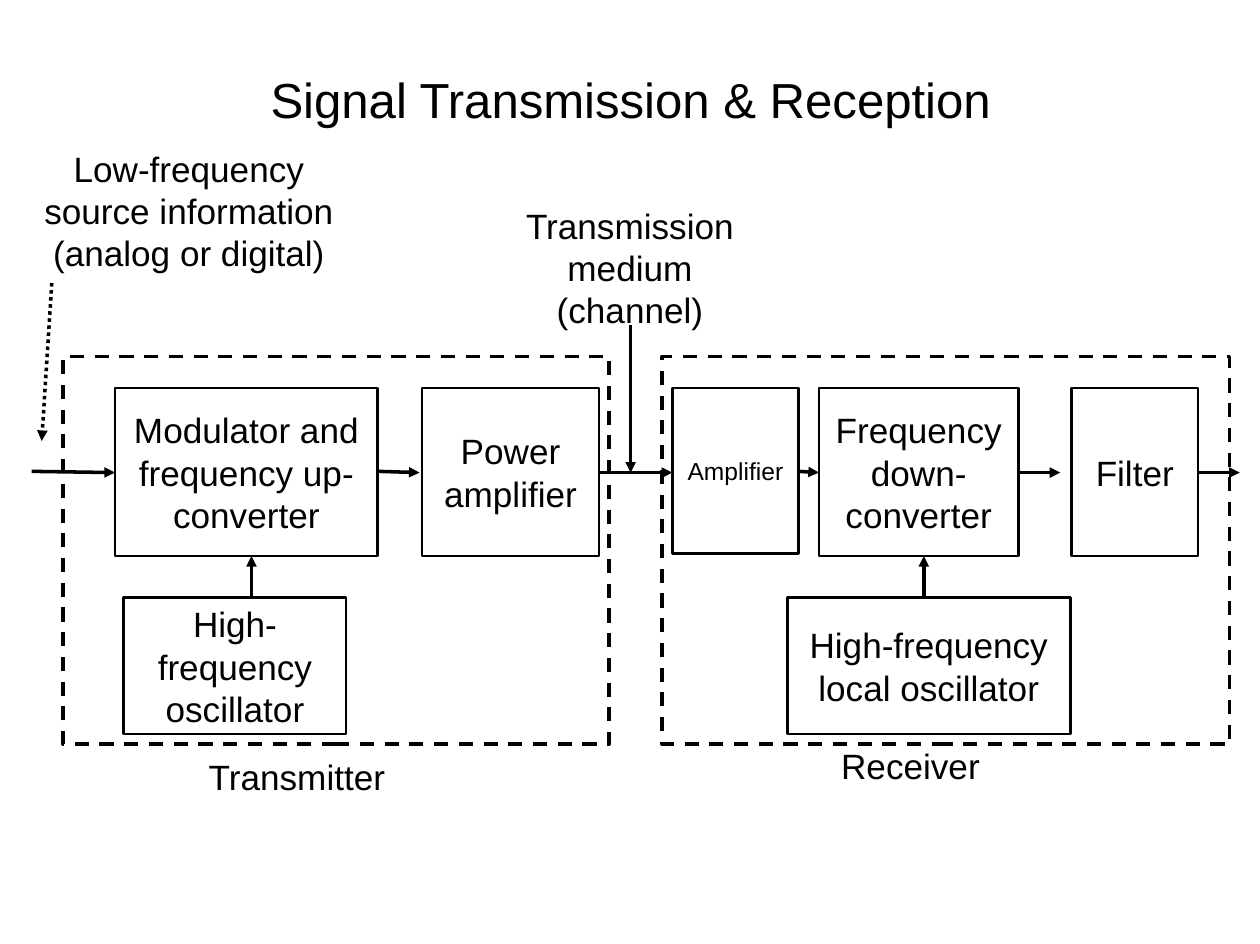
from lxml import etree
from pptx import Presentation
from pptx.dml.color import RGBColor
from pptx.enum.dml import MSO_LINE
from pptx.enum.shapes import MSO_CONNECTOR, MSO_SHAPE
from pptx.enum.text import MSO_ANCHOR, PP_ALIGN
from pptx.oxml.ns import qn
from pptx.util import Pt

PX = 9144
BLACK = RGBColor(0, 0, 0)
RECT = MSO_SHAPE.RECTANGLE
STRAIGHT = MSO_CONNECTOR.STRAIGHT
DASH, DOT = MSO_LINE.DASH, MSO_LINE.ROUND_DOT
MIDDLE, TOP = MSO_ANCHOR.MIDDLE, MSO_ANCHOR.TOP
CENTER = PP_ALIGN.CENTER

prs = Presentation()
prs.slide_width, prs.slide_height = 997 * PX, 747 * PX
shapes = prs.slides.add_slide(prs.slide_layouts[6]).shapes


def set_text(sp, text, size=20, wrap=True, anchor=MIDDLE):
    tf = sp.text_frame
    for name, value in {"word_wrap": wrap, "vertical_anchor": anchor}.items():
        setattr(tf, name, value)
    p = tf.paragraphs[0]
    p.alignment = CENTER
    r = p.add_run()
    r.text = text
    for name, value in {"name": "Arial", "size": Pt(size)}.items():
        setattr(r.font, name, value)
    r.font.color.rgb = BLACK


def add_box(x, y, w, h, width, dash=None):
    sp = shapes.add_shape(RECT, x * PX, y * PX, w * PX, h * PX)
    sp.shadow.inherit = False
    sp.fill.background()
    sp.line.color.rgb = BLACK
    for name, value in {"width": Pt(width), "dash_style": dash}.items():
        setattr(sp.line, name, value)
    return sp


title = shapes.add_textbox(202 * PX, 50 * PX, 594 * PX, 57 * PX)
set_text(title, "Signal Transmission & Reception", 28, False, TOP)

for x, w in [(50, 432), (524, 449)]:
    add_box(x, 282, w, 307, 2, DASH)

blocks = [
    ("Modulator and frequency up-converter", 91, 307, 208, 133, 20),
    ("Power amplifier", 334, 307, 140, 133, 20),
    ("Amplifier", 532, 307, 100, 131, 14),
    ("Frequency down-converter", 648, 307, 158, 133, 20),
    ("Filter", 848, 307, 100, 133, 20),
    ("High-frequency oscillator", 98, 473, 176, 108, 20),
    ("High-frequency local oscillator", 623, 473, 224, 108, 20),
]
for text, x, y, w, h, size in blocks:
    set_text(add_box(x, y, w, h, 1.5), text, size)

labels = [
    ("Low-frequency source information (analog or digital)", 25, 100, 249, 133),
    ("Transmission medium (channel)", 388, 174, 221, 75),
    ("Transmitter", 111, 598, 248, 33),
    ("Receiver", 632, 589, 177, 33),
]
for text, x, y, w, h in labels:
    set_text(shapes.add_textbox(x * PX, y * PX, w * PX, h * PX), text)

arrows = [
    (25, 373, 91, 374, None),
    (299, 373, 332, 374, None),
    (474, 374, 532, 374, None),
    (632, 373, 648, 374, None),
    (806, 374, 839, 374, None),
    (947, 374, 981, 374, None),
    (499, 257, 499, 374, None),
    (199, 473, 199, 440, None),
    (731, 473, 731, 440, None),
    (41, 224, 33, 349, DOT),
]
for x1, y1, x2, y2, dash in arrows:
    arrow = shapes.add_connector(STRAIGHT, x1 * PX, y1 * PX, x2 * PX, y2 * PX)
    arrow.line.color.rgb = BLACK
    for name, value in {"width": Pt(2), "dash_style": dash}.items():
        setattr(arrow.line, name, value)
    etree.SubElement(arrow.line._get_or_add_ln(), qn("a:tailEnd"), type="triangle")
    etree.SubElement(arrow._element.spPr, qn("a:effectLst"))

prs.save("out.pptx")
